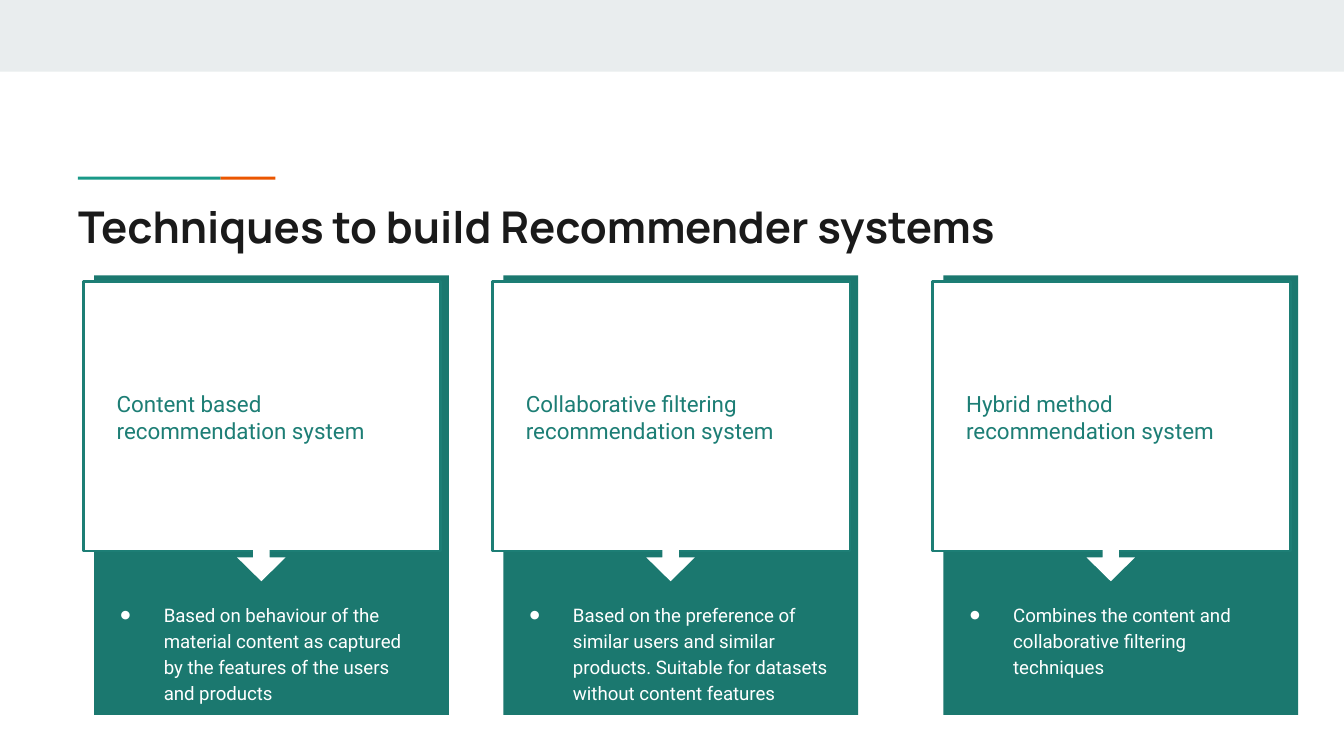
import pptx
import pptx.util
import pptx.dml.color
import pptx.enum.shapes
import pptx.enum.text
import lxml.etree
import pptx.oxml.ns

RGB = pptx.dml.color.RGBColor
SHAPE = pptx.enum.shapes.MSO_SHAPE
WHITE = RGB(0xFF, 0xFF, 0xFF)
BAND = RGB(0xE9, 0xED, 0xEE)
ORANGE = RGB(0xEB, 0x56, 0x00)
TEAL = RGB(0x1A, 0x99, 0x88)
PANEL = RGB(0x1B, 0x78, 0x6F)
EDGE = RGB(0x1D, 0x7E, 0x75)
INK = RGB(0x1A, 0x1A, 0x1A)

COLUMNS = 100
CELL = pptx.util.Inches(10) // COLUMNS
CARDS = [
    (6.2, "Content based recommendation system",
     "Based on behaviour of the material content as captured by the features of the users and products"),
    (36.65, "Collaborative filtering recommendation system",
     "Based on the preference of similar users and similar products. "
     "Suitable for datasets without content features"),
    (69.4, "Hybrid method recommendation system",
     "Combines the content and collaborative filtering techniques"),
]


def write(tf, text, size=12, font="Roboto", color=INK, bold=False, spacing=None, bullet=None):
    tf.word_wrap = True
    tf.vertical_anchor = pptx.enum.text.MSO_ANCHOR.TOP
    tf.margin_left = tf.margin_right = tf.margin_top = tf.margin_bottom = CELL
    p = tf.paragraphs[0]
    if spacing:
        p.line_spacing = spacing
    r = p.add_run()
    r.text = text
    r.font.size = pptx.util.Pt(size)
    r.font.name = font
    r.font.bold = bold
    r.font.color.rgb = color
    if bullet:
        pPr = p._p.get_or_add_pPr()
        pPr.set("marL", str(pptx.util.Inches(0.5)))
        pPr.set("indent", str(pptx.util.Inches(-0.32)))
        qn = pptx.oxml.ns.qn
        buClr = lxml.etree.SubElement(pPr, qn("a:buClr"))
        lxml.etree.SubElement(buClr, qn("a:srgbClr")).set("val", str(color))
        lxml.etree.SubElement(pPr, qn("a:buSzPct")).set("val", "60000")
        lxml.etree.SubElement(pPr, qn("a:buFont")).set("typeface", font)
        lxml.etree.SubElement(pPr, qn("a:buChar")).set("char", bullet)


class Deck:
    def __init__(self, prs):
        self.prs = prs
        self.s = prs.slides.add_slide(prs.slide_layouts[6])

    def box(self, *cells):
        return [round(n * CELL) for n in cells]

    def shape(self, kind, x, y, w, h, fill, line=None):
        sp = self.s.shapes.add_shape(kind, *self.box(x, y, w, h))
        sp.shadow.inherit = False
        sp.fill.solid()
        sp.fill.fore_color.rgb = fill
        if line:
            sp.line.color.rgb = line
            sp.line.width = pptx.util.Pt(1.5)
        else:
            sp.line.fill.background()
        return sp

    def text(self, x, y, w, h, text, **style):
        sp = self.s.shapes.add_textbox(*self.box(x, y, w, h))
        write(sp.text_frame, text, **style)

    def arrow(self, x, y, w, h):
        sp = self.shape(SHAPE.DOWN_ARROW, x, y, w, h, WHITE)
        sp.adjustments[0] = 0.34
        sp.adjustments[1] = 0.57

    def card(self, x, heading, detail):
        self.shape(SHAPE.RECTANGLE, x + 0.8, 20.5, 26.4, 32.7, PANEL)
        self.shape(SHAPE.RECTANGLE, x, 20.95, 26.6, 20.05, WHITE, EDGE)
        self.text(x + 1.5, 28.05, 23.6, 4.9, heading, color=EDGE)
        self.arrow(x + 11.45, 40.15, 3.6, 3.1)
        self.text(x, 43.7, 26.35, 8.7, detail, size=10, color=WHITE, spacing=1.15, bullet="●")


def main():
    prs = pptx.Presentation()
    prs.slide_width = COLUMNS * CELL
    prs.slide_height = prs.slide_width * 9 // 16
    deck = Deck(prs)
    deck.shape(SHAPE.RECTANGLE, 0, 0, COLUMNS, 5.33, BAND)
    deck.shape(SHAPE.RECTANGLE, 16.4, 13.15, 4.1, 0.22, ORANGE)
    deck.shape(SHAPE.RECTANGLE, 5.8, 13.15, 10.6, 0.22, TEAL)
    deck.text(4.83, 13.85, 84.1, 5.9, "Techniques to build Recommender systems",
              size=23.4, font="Manrope", bold=True)
    for x, heading, detail in CARDS:
        deck.card(x, heading, detail)
    prs.save("out.pptx")


if __name__ == "__main__":
    main()
